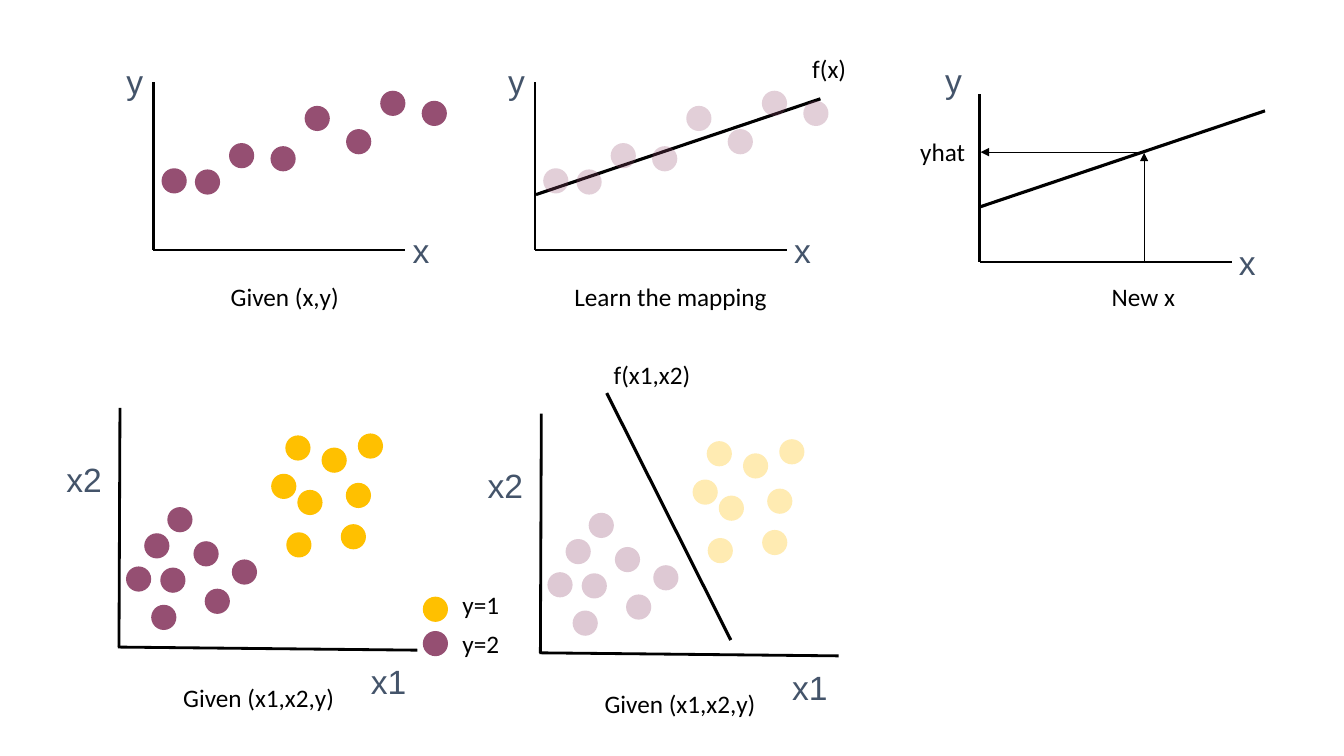
from lxml.etree import SubElement
from pptx import Presentation
from pptx.dml.color import RGBColor
from pptx.enum.shapes import MSO_CONNECTOR, MSO_SHAPE
from pptx.enum.text import MSO_AUTO_SIZE
from pptx.oxml.ns import qn
from pptx.util import Pt

BLACK = RGBColor(0x00, 0x00, 0x00)
SLATE = RGBColor(0x44, 0x54, 0x6A)
PLUM = RGBColor(0x95, 0x4F, 0x72)
GOLD = RGBColor(0xFF, 0xC0, 0x00)

AXIS, FIT, ARROW = 2, 2.25, 0.5
DOT_SIZE = 18
AXIS_FONT = {"name": "Arial", "size": Pt(24), "color": SLATE}
CAPTION_FONT = {"name": "Calibri", "size": Pt(18), "color": BLACK}

REGRESSION_DOTS = [(5.8, -58.4), (29.6, -57.6), (191.6, -106.6), (162, -113.8),
                   (54, -76.4), (108, -103), (83.6, -74.2), (137.6, -86.4)]
PLUM_CLASS = [(5, -57.6), (29.5, -56.8), (18, -81.3), (34.5, -100),
              (53.2, -75.6), (23, -30.2), (80.6, -62.6), (61.2, -41.7)]
GOLD_CLASS = [(108.7, -123.8), (144.7, -142.5), (170.6, -152.6), (119.5, -82),
              (162, -117.3), (118.8, -151.2), (158.4, -87.8), (127.4, -112.3)]


class Sketch:
    def __init__(self, slide):
        self.slide = slide

    def line(self, origin, start, end, weight, arrow=False):
        left, top = origin
        connector = self.slide.shapes.add_connector(
            MSO_CONNECTOR.STRAIGHT, Pt(left + start[0]), Pt(top + start[1]),
            Pt(left + end[0]), Pt(top + end[1]))
        connector.line.color.rgb = BLACK
        connector.line.width = Pt(weight)
        if arrow:
            outline = connector._element.spPr.find(qn("a:ln"))
            SubElement(outline, qn("a:tailEnd"), type="triangle")
        SubElement(connector._element.spPr, qn("a:effectLst"))

    def text(self, words, left, top, width, style=CAPTION_FONT):
        height = 36 if style is AXIS_FONT else 29
        box = self.slide.shapes.add_textbox(Pt(left), Pt(top), Pt(width), Pt(height))
        frame = box.text_frame
        frame.word_wrap = False
        frame.auto_size = MSO_AUTO_SIZE.SHAPE_TO_FIT_TEXT
        run = frame.paragraphs[0].add_run()
        run.text = words
        for attribute, value in style.items():
            if attribute == "color":
                run.font.color.rgb = value
            else:
                setattr(run.font, attribute, value)

    def dots(self, origin, offsets, color, opacity=100, grouped=False):
        shapes = self.slide.shapes
        if grouped:
            shapes = shapes.add_group_shape().shapes
        for x, y in offsets:
            dot = shapes.add_shape(MSO_SHAPE.OVAL, Pt(origin[0] + x), Pt(origin[1] + y),
                                   Pt(DOT_SIZE), Pt(DOT_SIZE))
            dot.shadow.inherit = False
            dot.fill.solid()
            dot.fill.fore_color.rgb = color
            dot.line.fill.background()
            if opacity < 100:
                color_element = dot._element.spPr.find(qn("a:solidFill"))[0]
                SubElement(color_element, qn("a:alpha"), val=str(opacity * 1000))

    def regression_axes(self, origin, y_label):
        left, top = origin
        self.line(origin, (0, -120), (0, 0), AXIS)
        self.line(origin, (0, 0), (180, 0), AXIS)
        self.text("y", left + y_label[0], top + y_label[1], 26.6, AXIS_FONT)
        self.text("x", left + 178, top - 18, 26.6, AXIS_FONT)

    def fit_line(self, origin):
        self.line(origin, (0.7, -39.6), (203.8, -108), FIT)

    def classification_plot(self, origin, opacity):
        left, top = origin
        self.line(origin, (0.7, -170.8), (0, 0), AXIS)
        self.line(origin, (-0.7, 0), (213.1, 2.2), AXIS)
        self.dots(origin, PLUM_CLASS, PLUM, opacity)
        self.dots(origin, GOLD_CLASS, GOLD, opacity, grouped=True)
        self.text("x2", left - 44.7, top - 137.7, 40.3, AXIS_FONT)
        self.text("x1", left + 172.8, top + 6.5, 40.3, AXIS_FONT)
        self.text("Given (x1,x2,y)", left + 38.8, top + 21.6, 127.4)


presentation = Presentation()
presentation.slide_width = Pt(960)
presentation.slide_height = Pt(540)
sketch = Sketch(presentation.slides.add_slide(presentation.slide_layouts[6]))

given, learned, predicted = (109.6, 178.6), (382.2, 178.6), (699.8, 187.2)
sketch.regression_axes(given, (-26.4, -138.3))
sketch.dots(given, REGRESSION_DOTS, PLUM)
sketch.text("Given (x,y)", 157.7, 197.3, 92.9)

sketch.regression_axes(learned, (-26.4, -138.3))
sketch.fit_line(learned)
sketch.dots(learned, REGRESSION_DOTS, PLUM, 27)
sketch.text("Learn the mapping", 403.2, 197.3, 154.1)
sketch.text("f(x)", 573.1, 34.6, 38.9)

sketch.regression_axes(predicted, (-31.7, -147.6))
sketch.fit_line(predicted)
sketch.line(predicted, (117.4, 0), (117.4, -78), ARROW, arrow=True)
sketch.line(predicted, (117.4, -78.5), (0.7, -78.5), ARROW, arrow=True)
sketch.text("yhat", 650.2, 93.6, 46.8)
sketch.text("New x", 787, 197.3, 60.5)

labelled, separated = (85, 462.2), (386, 466.3)
sketch.classification_plot(labelled, 100)
sketch.classification_plot(separated, 30)
sketch.line(separated, (47.4, -185.5), (136, -9.1), FIT)
sketch.text("f(x1,x2)", 431.3, 253.4, 69.8)

for label, color, dot_top, label_top in [("y=1", GOLD, 426.2, 417.6),
                                         ("y=2", PLUM, 450.7, 445)]:
    sketch.dots((302, dot_top), [(0, 0)], color)
    sketch.text(label, 323.3, label_top, 41)

presentation.save("out.pptx")
